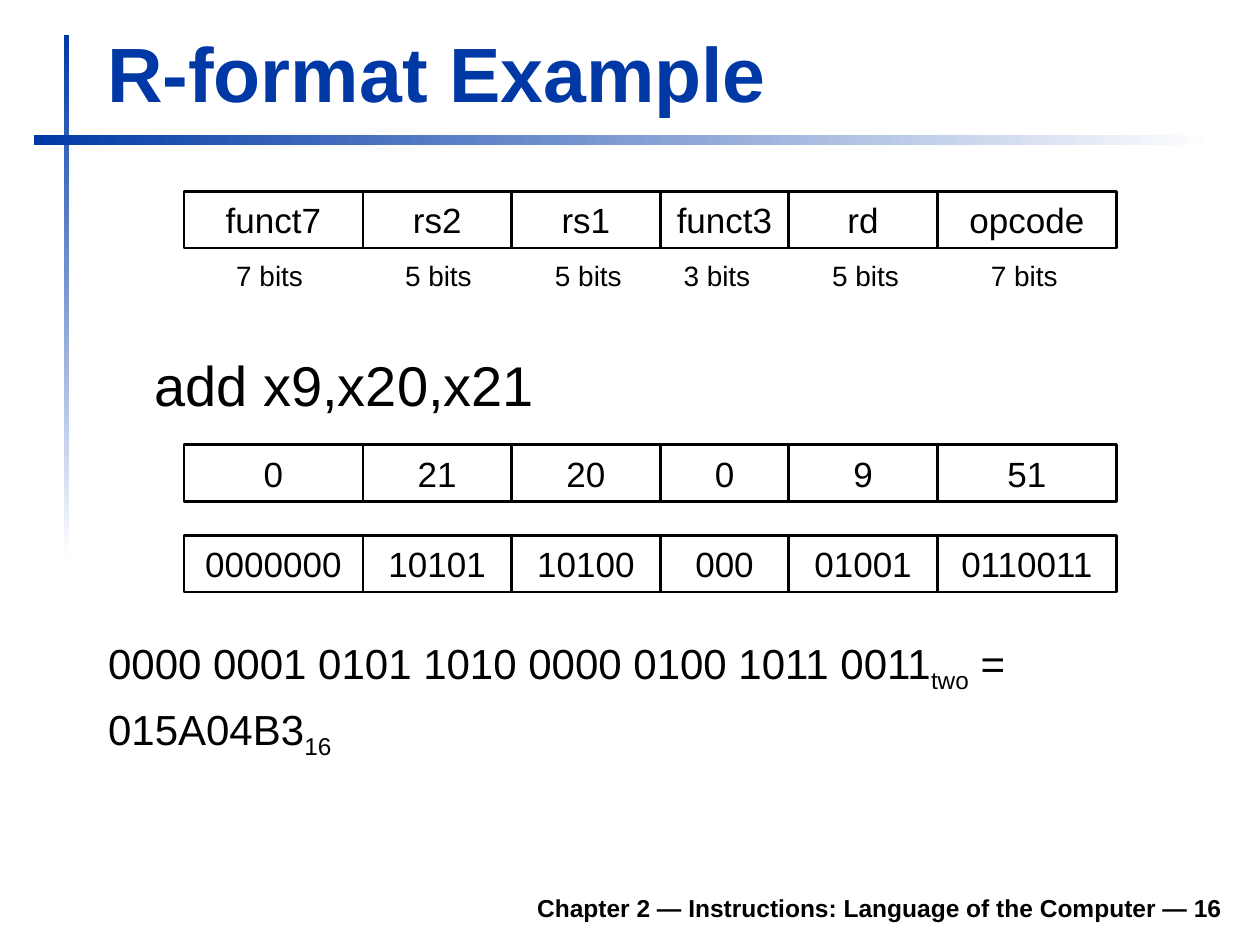
from lxml import etree
from pptx import Presentation
from pptx.dml.color import RGBColor
from pptx.enum.shapes import MSO_SHAPE
from pptx.enum.text import MSO_ANCHOR, MSO_AUTO_SIZE, PP_ALIGN
from pptx.oxml.ns import qn
from pptx.util import Pt

BLUE = RGBColor(0x00, 0x39, 0xA6)
BLACK = RGBColor(0x00, 0x00, 0x00)
WHITE = RGBColor(0xFF, 0xFF, 0xFF)
RECTANGLE = MSO_SHAPE.RECTANGLE
TOP, MIDDLE, BOTTOM = MSO_ANCHOR.TOP, MSO_ANCHOR.MIDDLE, MSO_ANCHOR.BOTTOM
LEFT, CENTER, RIGHT = PP_ALIGN.LEFT, PP_ALIGN.CENTER, PP_ALIGN.RIGHT
NO_AUTOFIT = MSO_AUTO_SIZE.NONE
FONT = "Arial"

FIELD_LEFT = 105.12
FIELD_HEIGHT = 32.4
FIELD_WIDTHS = [102.24, 84.96, 84.96, 73.44, 84.96, 102.24]
FIELD_NAMES = ["funct7", "rs2", "rs1", "funct3", "rd", "opcode"]
DECIMAL_VALUES = ["0", "21", "20", "0", "9", "51"]
BINARY_VALUES = ["0000000", "10101", "10100", "000", "01001", "0110011"]
BIT_LABELS = [
    ("7 bits", 127.44), ("5 bits", 223.92), ("5 bits", 309.6),
    ("3 bits", 383.04), ("5 bits", 468), ("7 bits", 558.72),
]


def place(shape, left, top, width, height):
    """Move and size a shape, in points."""
    shape.left, shape.top = Pt(left), Pt(top)
    shape.width, shape.height = Pt(width), Pt(height)


def add_span(para, text, size, color=BLACK, bold=False, baseline=0):
    """Add one formatted run to a paragraph."""
    span = para.add_run()
    span.text = text
    span.font.name = FONT
    span.font.size = Pt(size)
    span.font.bold = bold
    span.font.color.rgb = color
    if baseline:
        span.font._element.set("baseline", str(baseline * 1000))


def prepare_frame(shape, anchor=TOP, align=LEFT, wrap=True):
    """Set up a text frame and return its first paragraph."""
    frame = shape.text_frame
    frame.word_wrap = wrap
    frame.auto_size = NO_AUTOFIT
    frame.vertical_anchor = anchor
    para = frame.paragraphs[0]
    para.alignment = align
    para.space_before = Pt(0)
    return para


def add_text_box(shapes, left, top, width, height, **layout):
    """Add a text box and return its first paragraph."""
    box = shapes.add_textbox(Pt(left), Pt(top), Pt(width), Pt(height))
    return prepare_frame(box, **layout)


def add_gradient_bar(shapes, left, top, width, height, angle):
    """Add a thin bar that fades from blue to white."""
    bar = shapes.add_shape(RECTANGLE, Pt(left), Pt(top), Pt(width), Pt(height))
    bar.shadow.inherit = False
    bar.line.fill.background()
    bar.fill.gradient()
    bar.fill.gradient_angle = angle
    for stop, color, position in zip(bar.fill.gradient_stops, (BLUE, WHITE), (0, 1)):
        stop.color.rgb = color
        stop.position = position


def add_field_row(shapes, top, values):
    """Add one row of adjoining instruction fields."""
    left = FIELD_LEFT
    for value, width in zip(values, FIELD_WIDTHS):
        field = shapes.add_shape(RECTANGLE, Pt(left), Pt(top), Pt(width), Pt(FIELD_HEIGHT))
        field.shadow.inherit = False
        field.fill.background()
        field.line.color.rgb = BLACK
        field.line.width = Pt(1.5)
        add_span(prepare_frame(field, MIDDLE, CENTER, wrap=False), value, 20)
        left += width


def add_format_diagram(shapes):
    """Add the grouped field names with their bit widths."""
    group = shapes.add_group_shape()
    add_field_row(group.shapes, 109.44, FIELD_NAMES)
    for label, left in BIT_LABELS:
        para = add_text_box(group.shapes, left, 144, 53.28, 26.64, align=CENTER, wrap=False)
        add_span(para, label, 16)


def fill_title(title):
    """Place and write the slide title."""
    place(title, 54, 11.52, 650.16, 59.76)
    add_span(prepare_frame(title, BOTTOM), "R-format Example", 44, BLUE, bold=True)


def fill_body(body):
    """Place and write the assembly instruction without a bullet."""
    place(body, 54, 196.56, 651.6, 51.12)
    para = prepare_frame(body)
    properties = para._p.get_or_add_pPr()
    properties.set("marL", str(Pt(27)))
    properties.set("indent", "0")
    etree.SubElement(properties, qn("a:buNone"))
    add_span(para, "add x9,x20,x21", 32)


def add_machine_code(shapes):
    """Add the instruction word in binary and hexadecimal."""
    box = shapes.add_textbox(Pt(54.72), Pt(360.72), Pt(571.68), Pt(111.6))
    binary = prepare_frame(box)
    add_span(binary, "0000 0001 0101 1010 0000 0100 1011 0011", 24)
    add_span(binary, "two", 24, baseline=-25)
    add_span(binary, " =", 24)
    hexadecimal = box.text_frame.add_paragraph()
    hexadecimal.space_before = Pt(4.8)
    add_span(hexadecimal, "015A04B3", 24)
    add_span(hexadecimal, "16", 24, baseline=-25)


def main():
    """Build the slide and save the deck."""
    deck = Presentation()
    deck.slide_width, deck.slide_height = Pt(720), Pt(540)
    page = deck.slides.add_slide(deck.slide_layouts[1])
    shapes = page.shapes
    fill_title(shapes.title)
    fill_body(page.placeholders[1])
    add_gradient_bar(shapes, 36.72, 20.16, 2.88, 300.24, angle=270)
    add_gradient_bar(shapes, 19.44, 77.04, 674.64, 5.76, angle=0)
    footer = add_text_box(shapes, 133.2, 502.56, 572.4, 28.08, anchor=BOTTOM, align=RIGHT)
    add_span(footer, "Chapter 2 — Instructions: Language of the Computer — 16", 14, bold=True)
    add_machine_code(shapes)
    add_format_diagram(shapes)
    add_field_row(shapes, 254.16, DECIMAL_VALUES)
    add_field_row(shapes, 306, BINARY_VALUES)
    deck.save("out.pptx")


if __name__ == "__main__":
    main()
